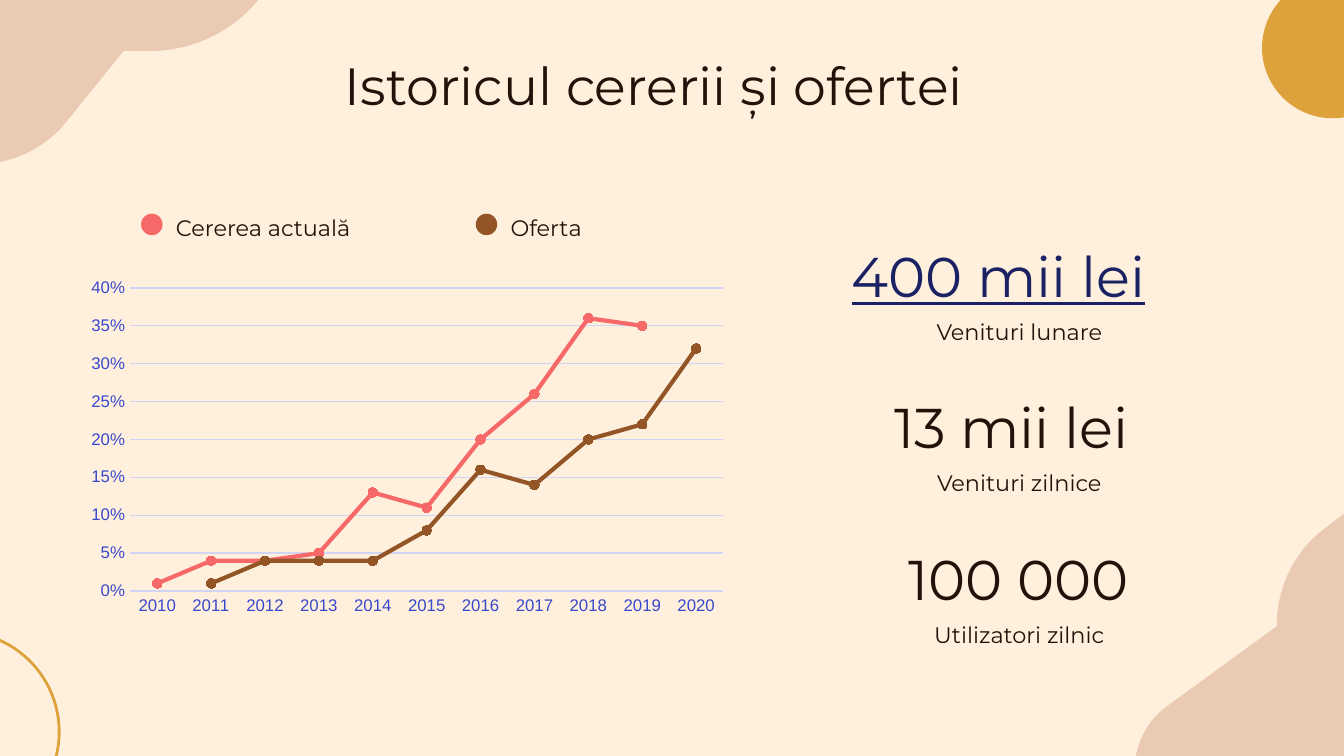
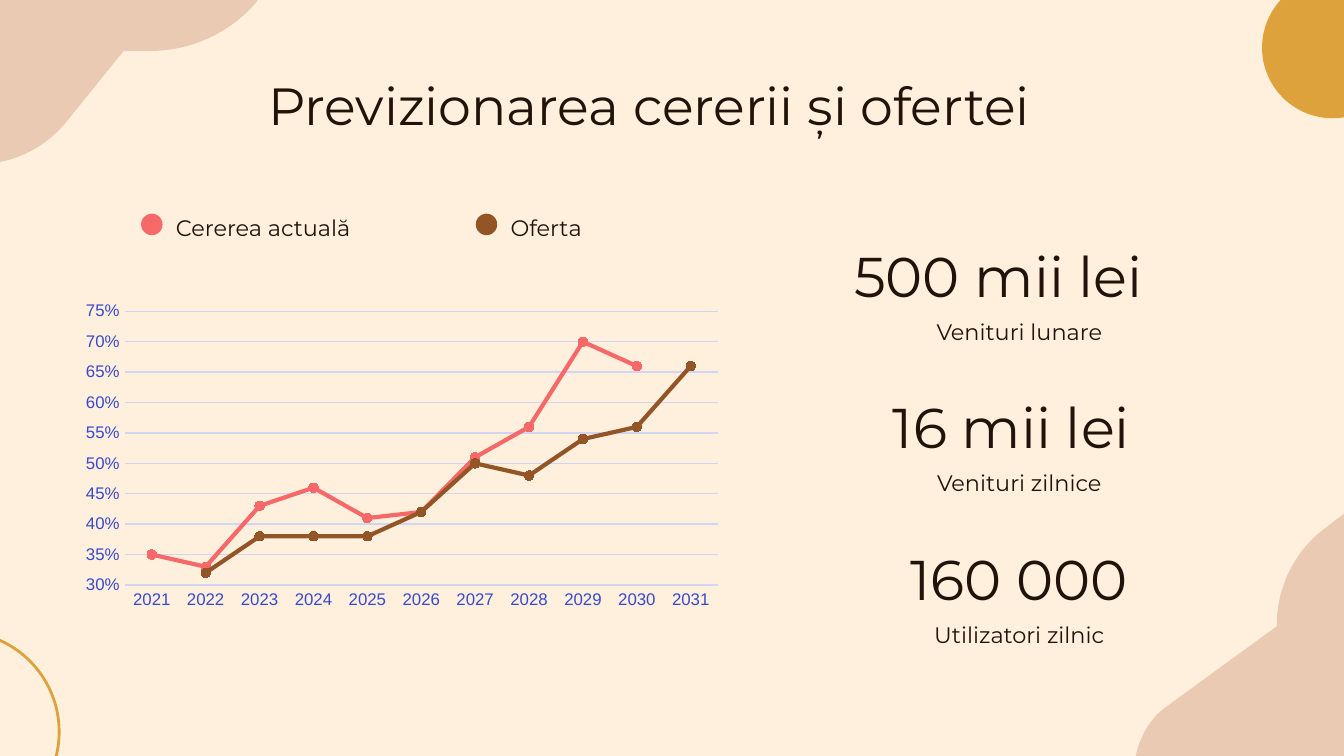
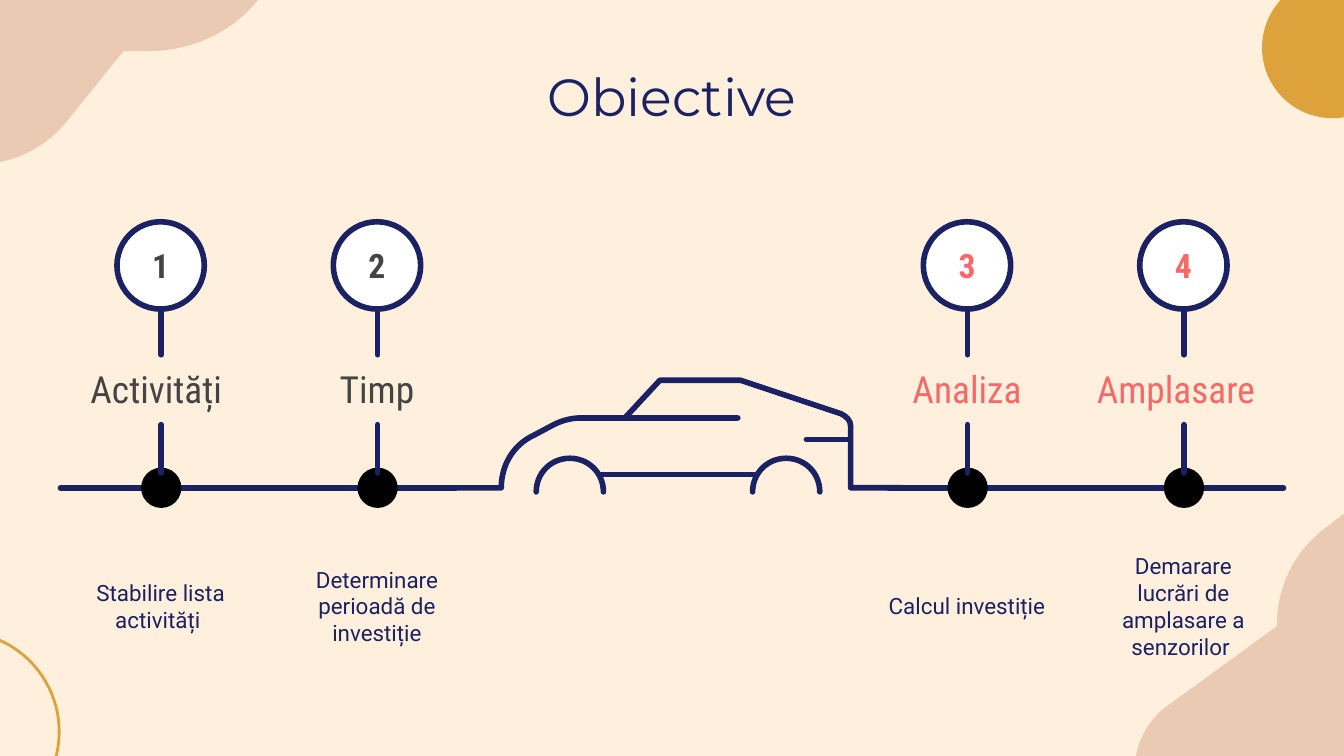
from dataclasses import dataclass
from typing import Optional

from lxml import etree
from pptx import Presentation
from pptx.chart.data import CategoryChartData
from pptx.dml.color import RGBColor
from pptx.enum.chart import XL_CHART_TYPE, XL_MARKER_STYLE, XL_TICK_MARK
from pptx.enum.shapes import MSO_CONNECTOR, MSO_SHAPE
from pptx.enum.text import MSO_ANCHOR, PP_ALIGN
from pptx.oxml import parse_xml
from pptx.oxml.ns import nsdecls, qn
from pptx.util import Emu, Pt

LEFT, CENTER = PP_ALIGN.LEFT, PP_ALIGN.CENTER
TOP, MIDDLE, BOTTOM = MSO_ANCHOR.TOP, MSO_ANCHOR.MIDDLE, MSO_ANCHOR.BOTTOM
OVAL, STRAIGHT = MSO_SHAPE.OVAL, MSO_CONNECTOR.STRAIGHT
LINE_MARKERS, CIRCLE = XL_CHART_TYPE.LINE_MARKERS, XL_MARKER_STYLE.CIRCLE
NO_TICK = XL_TICK_MARK.NONE

PX = 9144  # 100 px to the inch
SLIDE_W = 1000
INSET = 10


@dataclass(frozen=True)
class Theme:
    cream: str = "FFF0DE"
    blush: str = "EBCAB3"
    gold: str = "DEA23C"
    ink: str = "211309"
    navy: str = "1A2263"
    coral: str = "F76868"
    brown: str = "945526"
    grey: str = "444444"
    white: str = "FFFFFF"
    black: str = "000000"
    axis: str = "3949CB"
    grid: str = "D1D5F3"
    display: str = "Montserrat"
    body: str = "Roboto"
    condensed: str = "Roboto Condensed"
    chart: str = "Arial"
    title_size: int = 28
    stat_size: int = 30
    heading_size: int = 20
    number_size: int = 18
    text_size: int = 12
    chart_size: int = 10
    axis_size: int = 9
    ring_line: float = 1.5
    road_line: float = 3
    series_line: float = 2.25
    grid_line: float = 0.75


T = Theme()


@dataclass(frozen=True)
class Box:
    left: int
    top: int
    width: int
    height: int

    def emu(self) -> list[Emu]:
        return [Emu(v * PX) for v in (self.left, self.top, self.width, self.height)]


@dataclass(frozen=True)
class TextStyle:
    font: str
    size: int
    color: str
    bold: bool = False
    underline: bool = False


@dataclass(frozen=True)
class Stat:
    value: str
    caption: str
    left: int = 635
    width: int = 246
    color: str = T.ink
    underline: bool = False


@dataclass(frozen=True)
class Forecast:
    title: str
    title_box: Box
    chart_box: Box
    first_year: int
    demand: list[Optional[float]]
    supply: list[Optional[float]]
    axis_range: tuple[float, float]
    stats: list[Stat]


@dataclass(frozen=True)
class Step:
    number: str
    heading: str
    detail: str
    left: int
    color: str
    widen: int = 0


CAPTION = TextStyle(T.display, T.text_size, T.ink)
DETAIL = TextStyle(T.body, T.text_size, T.navy)
LEGEND = (("Cererea actuală", T.coral), ("Oferta", T.brown))
PLOT_PER_MILLE = {"x": 64, "y": 141, "w": 884, "h": 688}

# A pair is a straight point; six values are a cubic curve ending at the last pair.
TOP_BLOB = [(-15, 122), (-15, 29), (-15, 7, 3, -11, 25, -11), (202, -11), (193, -1),
            (173, 24, 143, 38, 111, 38), (92, 38), (50, 90), (34, 110, 10, 122, -15, 122)]
BOTTOM_BLOB = [(844, 574), (844, 555, 853, 536, 869, 525), (950, 466), (950, 465),
               (950, 437, 963, 410, 986, 393), (1012, 373), (1012, 540),
               (1012, 559, 996, 574, 977, 574), (844, 574)]
CAR_OUTLINES = [
    [(329, 363), (373, 363), (373, 346, 382, 331, 397, 324), (412, 316),
     (418, 313, 425, 311, 432, 311), (549, 311)],
    [(671, 363), (633, 363), (633, 317), (633, 313, 630, 310, 626, 308),
     (551, 283), (491, 283), (465, 311)],
]
WHEEL_LEFTS = (399, 560)
ARCH_TOP = 341

FORECASTS = [
    Forecast(
        "Istoricul cererii și ofertei", Box(206, 40, 561, 56), Box(65, 168, 499, 328), 2010,
        [0.01, 0.04, 0.04, 0.05, 0.13, 0.11, 0.2, 0.26, 0.36, 0.35, None],
        [None, 0.01, 0.04, 0.04, 0.04, 0.08, 0.16, 0.14, 0.2, 0.22, 0.32],
        (0, 0.4),
        [Stat("400 mii lei", "Venituri lunare", 604, 278, T.navy, True),
         Stat("13 mii lei ", "Venituri zilnice"),
         Stat("100 000", "Utilizatori zilnic")]),
    Forecast(
        "Previzionarea cererii și ofertei", Box(145, 55, 676, 56), Box(61, 190, 499, 296), 2021,
        [0.35, 0.33, 0.43, 0.46, 0.41, 0.42, 0.51, 0.56, 0.7, 0.66, None],
        [None, 0.32, 0.38, 0.38, 0.38, 0.42, 0.5, 0.48, 0.54, 0.56, 0.66],
        (0.3, 0.75),
        [Stat("500 mii lei", "Venituri lunare", 604, 278),
         Stat("16 mii lei ", "Venituri zilnice"),
         Stat("160 000", "Utilizatori zilnic")]),
]

STEP_PITCH = 161
STEP_W = 149
STEPS = [
    Step("1", "Activități ", "Stabilire lista\nactivități ", 45, T.grey),
    Step("2", "Timp", "Determinare perioadă de investiție", 45 + STEP_PITCH, T.grey),
    Step("3", "Analiza", "Calcul investiție", 645, T.coral),
    Step("4", "Amplasare", "Demarare\nlucrări de amplasare a senzorilor ",
         645 + STEP_PITCH, T.coral, widen=11),
]


def rgb(color: str) -> RGBColor:
    return RGBColor.from_string(color)


def paint(sp, fill: Optional[str] = None, line: Optional[str] = None, width: float = 0) -> None:
    sp.shadow.inherit = False
    if fill:
        sp.fill.solid()
        sp.fill.fore_color.rgb = rgb(fill)
    else:
        sp.fill.background()
    if line:
        stroke(sp, line, width)
    else:
        sp.line.fill.background()


def stroke(sp, color: str, width: float) -> None:
    """Give a shape or connector a solid, round-capped line."""
    sp.line.color.rgb = rgb(color)
    sp.line.width = Pt(width)
    sp.element.spPr.find(qn("a:ln")).set("cap", "rnd")


def set_font(font, values: dict, color: str) -> None:
    for name, value in values.items():
        setattr(font, name, value)
    font.color.rgb = rgb(color)


def write(sp, text: str, style: TextStyle, align=CENTER, anchor=MIDDLE) -> None:
    tf = sp.text_frame
    frame = {"word_wrap": True, "vertical_anchor": anchor}
    frame |= {f"margin_{side}": Emu(INSET * PX) for side in ("left", "top", "right", "bottom")}
    for name, value in frame.items():
        setattr(tf, name, value)
    font = {"name": style.font, "size": Pt(style.size)}
    font |= {name: True for name in ("bold", "underline") if getattr(style, name)}
    for i, line in enumerate(text.split("\n")):
        p = tf.add_paragraph() if i else tf.paragraphs[0]
        p.alignment = align
        r = p.add_run()
        r.text = line
        set_font(r.font, font, style.color)


def add_text(s, box: Box, text: str, style: TextStyle, align=CENTER, anchor=MIDDLE) -> None:
    write(s.shapes.add_textbox(*box.emu()), text, style, align, anchor)


def add_oval(s, box: Box, fill: Optional[str] = None, line: Optional[str] = None,
             width: float = 0):
    sp = s.shapes.add_shape(OVAL, *box.emu())
    paint(sp, fill, line, width)
    return sp


def add_line(s, x1: int, y1: int, x2: int, y2: int) -> None:
    sp = s.shapes.add_connector(STRAIGHT, *[Emu(v * PX) for v in (x1, y1, x2, y2)])
    stroke(sp, T.navy, T.road_line)
    etree.SubElement(sp.element.spPr, qn("a:effectLst"))


def add_outline(s, outline: list[tuple], closed: bool = False):
    """Build a freeform through the anchors, then bend its curved segments."""
    anchors = [part[-2:] for part in outline]
    builder = s.shapes.build_freeform(*anchors[0], scale=float(PX))
    builder.add_line_segments(anchors[1:], close=closed)
    sp = builder.convert_to_shape()
    left, top = min(x for x, _ in anchors), min(y for _, y in anchors)
    segments = sp.element.findall(f".//{qn('a:lnTo')}")
    for segment, part in zip(segments, outline[1:]):
        if len(part) == 2:
            continue
        segment.tag = qn("a:cubicBezTo")
        for point in list(segment):
            segment.remove(point)
        for x, y in zip(part[::2], part[1::2]):
            etree.SubElement(segment, qn("a:pt"), x=str(x - left), y=str(y - top))
    return sp


def add_slide(prs):
    """Add a blank slide with the shared corner decoration."""
    s = prs.slides.add_slide(prs.slide_layouts[6])
    for blob in (TOP_BLOB, BOTTOM_BLOB):
        paint(add_outline(s, blob, closed=True), T.blush)
    add_oval(s, Box(-105, 470, 149, 149), line=T.gold, width=T.ring_line)
    add_oval(s, Box(939, -17, 105, 105), fill=T.gold)
    return s


def add_title(s, box: Box, text: str, color: str, anchor) -> None:
    add_text(s, box, text, TextStyle(T.display, T.title_size, color), anchor=anchor)


def add_legend(s) -> None:
    for i, (name, color) in enumerate(LEGEND):
        left = 121 + 249 * i
        add_text(s, Box(left, 149, 225, 38), name, CAPTION, LEFT, TOP)
        add_oval(s, Box(left - 16, 159, 16, 16), color)


def add_stats(s, stats: list[Stat]) -> None:
    for i, stat in enumerate(stats):
        top = 168 + 225 * i // 2
        style = TextStyle(T.display, T.stat_size, stat.color, underline=stat.underline)
        add_text(s, Box(stat.left, top, stat.width, 72), stat.value, style, anchor=BOTTOM)
        add_text(s, Box(620, top + 59, 277, 44), stat.caption, CAPTION, anchor=TOP)


def place_plot(chart) -> None:
    """Fix the inner plot area as shares of the chart frame."""
    plot_area = chart.element.find(f".//{qn('c:plotArea')}")
    for old in plot_area.findall(qn("c:layout")):
        plot_area.remove(old)
    modes = '<c:layoutTarget val="inner"/><c:xMode val="edge"/><c:yMode val="edge"/>'
    sizes = "".join(f'<c:{k} val="{v / 1000}"/>' for k, v in PLOT_PER_MILLE.items())
    plot_area.insert(0, parse_xml(
        f'<c:layout {nsdecls("c")}><c:manualLayout>{modes}{sizes}</c:manualLayout></c:layout>'))


def add_line_chart(s, forecast: Forecast) -> None:
    data = CategoryChartData(number_format="0%")
    data.categories = [str(forecast.first_year + i) for i in range(len(forecast.demand))]
    for i, values in enumerate((forecast.demand, forecast.supply), start=1):
        data.add_series(f"Series {i}", values)
    chart = s.shapes.add_chart(LINE_MARKERS, *forecast.chart_box.emu(), data).chart
    chart.has_legend = chart.has_title = False
    set_font(chart.font, {"name": T.chart, "size": Pt(T.chart_size)}, T.navy)
    place_plot(chart)

    years, shares = chart.category_axis, chart.value_axis
    for axis in (years, shares):
        axis.major_tick_mark = axis.minor_tick_mark = NO_TICK
        set_font(axis.tick_labels.font, {"name": T.chart, "size": Pt(T.axis_size)}, T.axis)
    shares.minimum_scale, shares.maximum_scale = forecast.axis_range
    shares.major_unit = 0.05
    shares.tick_labels.number_format = "0%"
    shares.tick_labels.number_format_is_linked = False
    shares.has_major_gridlines = True
    shares.format.line.fill.background()
    for line in (years.format.line, shares.major_gridlines.format.line):
        line.color.rgb = rgb(T.grid)
        line.width = Pt(T.grid_line)

    plot = chart.plots[0]
    plot.vary_by_categories = False
    for series, (_, color) in zip(plot.series, LEGEND):
        series.smooth = False
        series.format.line.color.rgb = rgb(color)
        series.format.line.width = Pt(T.series_line)
        marker = series.marker
        marker.style, marker.size = CIRCLE, 5
        marker.format.fill.solid()
        marker.format.fill.fore_color.rgb = rgb(color)
        marker.format.line.color.rgb = rgb(color)


def forecast_slide(prs, forecast: Forecast) -> None:
    s = add_slide(prs)
    add_title(s, forecast.title_box, forecast.title, T.ink, BOTTOM)
    add_legend(s)
    add_stats(s, forecast.stats)
    add_line_chart(s, forecast)


def wheel_arch(left: int) -> list[tuple]:
    mid, right, base = left + 25, left + 50, ARCH_TOP + 25
    return [(left, base), (left, ARCH_TOP + 11, left + 11, ARCH_TOP, mid, ARCH_TOP),
            (right - 11, ARCH_TOP, right, ARCH_TOP + 11, right, base)]


def add_car_road(s) -> None:
    for outline in CAR_OUTLINES + [wheel_arch(left) for left in WHEEL_LEFTS]:
        paint(add_outline(s, outline), line=T.navy, width=T.road_line)
    for x1, x2, y in ((446, 561, 353), (600, 631, 327), (45, 339, 363), (661, 955, 363)):
        add_line(s, x1, y, x2, y)


def add_step(s, step: Step) -> None:
    left, middle = step.left, step.left + (STEP_W + 1) // 2
    add_line(s, middle, 227, middle, 264)
    add_text(s, Box(left - step.widen, 266, STEP_W + step.widen, 47), step.heading,
             TextStyle(T.condensed, T.heading_size, step.color))
    add_text(s, Box(left, 413, STEP_W, 76), step.detail, DETAIL)
    badge = add_oval(s, Box(left + 42, 165, 65, 65), T.white, T.navy, T.road_line)
    write(badge, step.number, TextStyle(T.condensed, T.number_size, step.color, bold=True))
    add_oval(s, Box(middle - 15, 348, 30, 30), T.black)
    add_line(s, middle, 316, middle, 352)


def objectives_slide(prs) -> None:
    s = add_slide(prs)
    add_title(s, Box(45, 45, 910, 53), "Obiective", T.navy, MIDDLE)
    add_car_road(s)
    for step in STEPS:
        add_step(s, step)


def main() -> None:
    prs = Presentation()
    prs.slide_width = Emu(SLIDE_W * PX)
    prs.slide_height = Emu(SLIDE_W * PX * 9 // 16)
    background = prs.slide_master.background.fill
    background.solid()
    background.fore_color.rgb = rgb(T.cream)
    for forecast in FORECASTS:
        forecast_slide(prs, forecast)
    objectives_slide(prs)
    prs.save("out.pptx")


if __name__ == "__main__":
    main()
